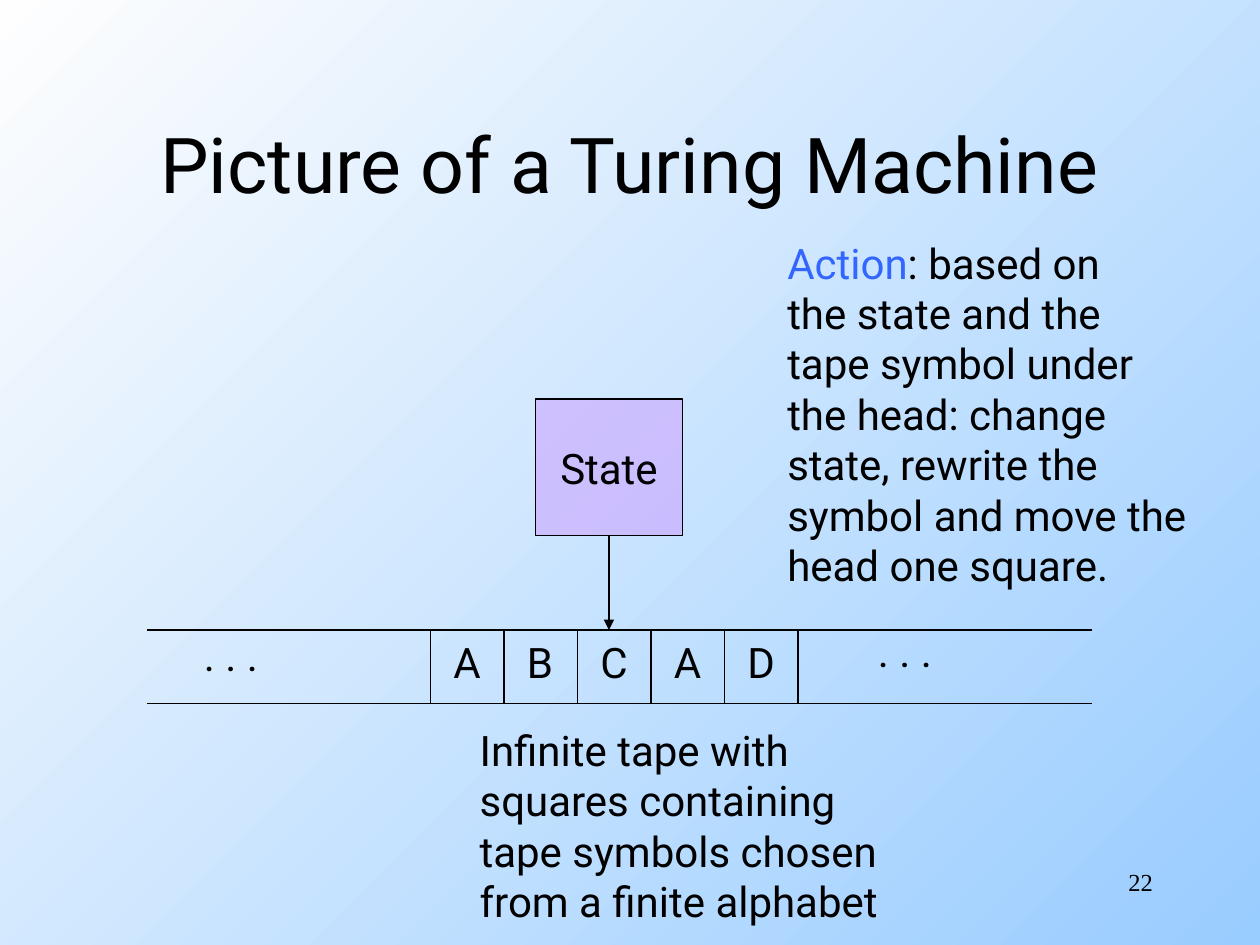
from lxml.etree import SubElement
from pptx import Presentation
from pptx.dml.color import RGBColor
from pptx.enum.shapes import MSO_CONNECTOR, MSO_SHAPE
from pptx.enum.text import MSO_ANCHOR, MSO_AUTO_SIZE, PP_ALIGN
from pptx.oxml.ns import qn
from pptx.util import Pt

BLACK = RGBColor(0x00, 0x00, 0x00)
BLUE = RGBColor(0x33, 0x66, 0xFF)
LILAC = RGBColor(0xCC, 0x99, 0xFF)
SKY = RGBColor(0x99, 0xCC, 0xFF)
WHITE = RGBColor(0xFE, 0xFE, 0xFE)

TAPE_LEFT, TAPE_RIGHT = 84, 624
TAPE_TOP, SQUARE = 360, 42
TAPE_BOTTOM = TAPE_TOP + SQUARE
FIRST_SQUARE = 246
SYMBOLS = "ABCAD"


class SlideBuilder:
    font = "Roboto"
    text_size = 24
    line_width = 0.75

    def __init__(self, slide):
        self.slide = slide

    def background(self, start, end, angle):
        fill = self.slide.background.fill
        fill.gradient()
        fill.gradient_angle = angle
        for stop, color in zip(fill.gradient_stops, (start, end)):
            stop.color.rgb = color

    def add_lines(self, frame, lines, align=PP_ALIGN.LEFT, size=None, font=None):
        """Each line is a list of (text, color) runs."""
        for index, runs in enumerate(lines):
            paragraph = frame.add_paragraph() if index else frame.paragraphs[0]
            paragraph.alignment = align
            for text, color in runs:
                run = paragraph.add_run()
                run.text = text
                run.font.name = font or self.font
                run.font.size = Pt(size or self.text_size)
                run.font.color.rgb = color

    def text(self, left, top, width, height, lines, wrap=False,
             anchor=MSO_ANCHOR.TOP, **style):
        box = self.slide.shapes.add_textbox(Pt(left), Pt(top), Pt(width), Pt(height))
        frame = box.text_frame
        frame.word_wrap = wrap
        frame.auto_size = MSO_AUTO_SIZE.NONE if wrap else MSO_AUTO_SIZE.SHAPE_TO_FIT_TEXT
        frame.vertical_anchor = anchor
        self.add_lines(frame, lines, **style)

    def rectangle(self, left, top, width, height, label, color, opacity):
        shape = self.slide.shapes.add_shape(
            MSO_SHAPE.RECTANGLE, Pt(left), Pt(top), Pt(width), Pt(height))
        shape.shadow.inherit = False
        shape.fill.solid()
        shape.fill.fore_color.rgb = color
        color_element = next(shape._element.spPr.iter(qn("a:srgbClr")))
        SubElement(color_element, qn("a:alpha")).set("val", str(opacity * 1000))
        shape.line.color.rgb = BLACK
        shape.line.width = Pt(self.line_width)
        shape.text_frame.word_wrap = False
        shape.text_frame.vertical_anchor = MSO_ANCHOR.MIDDLE
        self.add_lines(shape.text_frame, [[(label, BLACK)]], PP_ALIGN.CENTER)
        return shape

    def line(self, x1, y1, x2, y2, arrow=False):
        connector = self.slide.shapes.add_connector(
            MSO_CONNECTOR.STRAIGHT, Pt(x1), Pt(y1), Pt(x2), Pt(y2))
        connector.line.color.rgb = BLACK
        connector.line.width = Pt(self.line_width)
        properties = connector._element.spPr
        if arrow:
            outline = properties.find(qn("a:ln"))
            SubElement(outline, qn("a:tailEnd")).set("type", "triangle")
        SubElement(properties, qn("a:effectLst"))
        return connector


def plain(*lines):
    return [[(line, BLACK)] for line in lines]


def main():
    presentation = Presentation()
    presentation.slide_width, presentation.slide_height = Pt(720), Pt(540)
    slide = presentation.slides.add_slide(presentation.slide_layouts[6])
    builder = SlideBuilder(slide)
    builder.background(SKY, WHITE, 135)

    # Title
    builder.text(54, 48, 612, 90, plain("Picture of a Turing Machine"), wrap=True,
                 anchor=MSO_ANCHOR.MIDDLE, align=PP_ALIGN.CENTER, size=44)

    # State control
    state = builder.rectangle(306, 228, 84, 78, "State", LILAC, 50)

    # Tape edges and square dividers
    for y in (TAPE_TOP, TAPE_BOTTOM):
        builder.line(TAPE_LEFT, y, TAPE_RIGHT, y)
    for index in range(len(SYMBOLS) + 1):
        x = FIRST_SQUARE + index * SQUARE
        builder.line(x, TAPE_TOP, x, TAPE_BOTTOM)

    # Tape contents
    for left, top in ((109.4, 356.4), (494.6, 354)):
        builder.text(left, top, 46, 36, plain(". . ."))
    for index, symbol in enumerate(SYMBOLS):
        builder.text(FIRST_SQUARE + 6 + index * SQUARE, TAPE_TOP, 30, 36, plain(symbol))

    # Tape head
    head = builder.line(348, 306, 348, TAPE_TOP, arrow=True)
    head.begin_connect(state, 2)

    # Explanations
    builder.text(267, 410.4, 259, 122.4, plain(
        "Infinite tape with", "squares containing",
        "tape symbols chosen", "from a finite alphabet"))
    action = [[("Action", BLUE), (": based on", BLACK)]]
    builder.text(442.8, 132, 257, 208.8, action + plain(
        "the state and the", "tape symbol under", "the head: change",
        "state, rewrite the", "symbol and move the", "head one square."))

    # Slide number
    builder.text(516, 492, 150, 36, plain("22"), wrap=True,
                 align=PP_ALIGN.RIGHT, size=14, font="Times New Roman")

    presentation.save("out.pptx")


if __name__ == "__main__":
    main()
